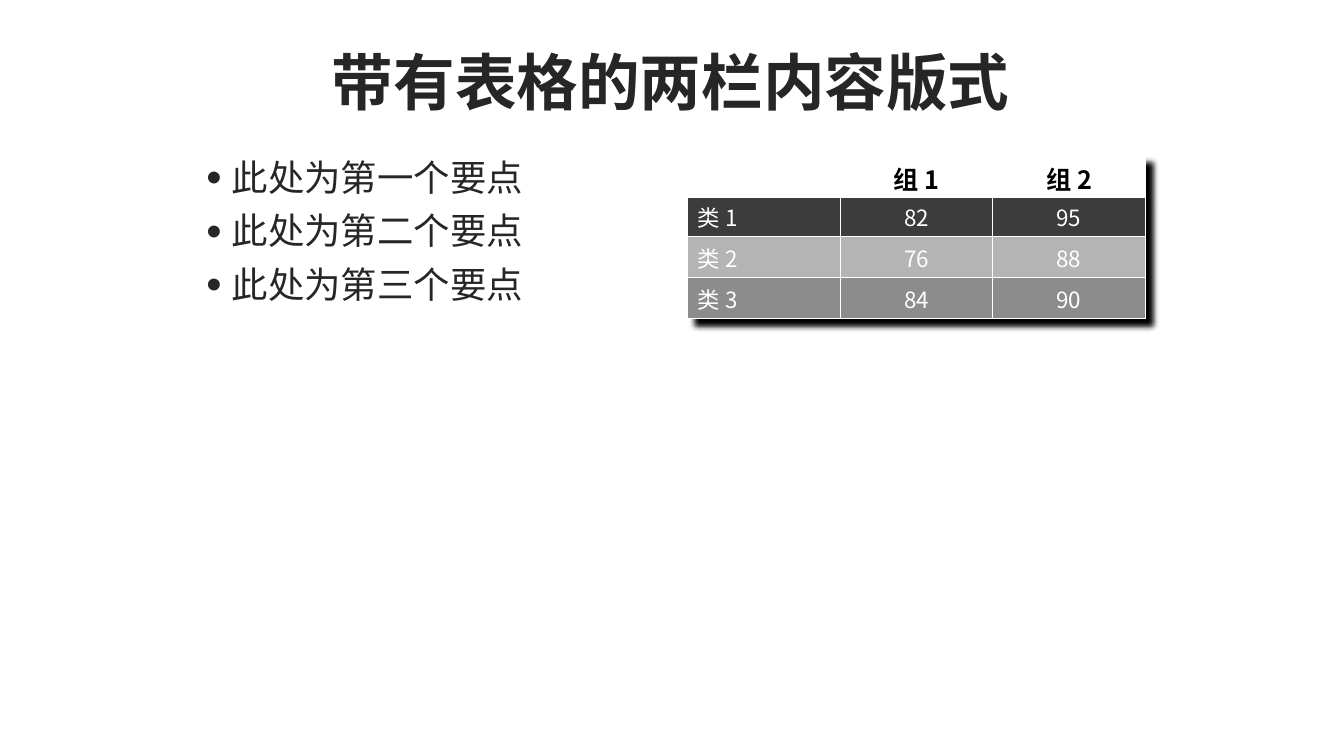
from lxml import etree
from pptx import Presentation
from pptx.dml.color import RGBColor
from pptx.enum.text import MSO_ANCHOR, PP_ALIGN
from pptx.oxml import parse_xml
from pptx.oxml.ns import nsdecls, qn
from pptx.util import Inches, Pt

FONT = "Noto Sans CJK SC"
DARK = RGBColor(0x26, 0x26, 0x26)
BLACK = RGBColor(0x00, 0x00, 0x00)
WHITE = RGBColor(0xFF, 0xFF, 0xFF)
ROW_FILLS = [
    WHITE,
    RGBColor(0x3C, 0x3C, 0x3C),
    RGBColor(0xB4, 0xB4, 0xB4),
    RGBColor(0x8C, 0x8C, 0x8C),
]
CENTER = PP_ALIGN.CENTER
LEFT = PP_ALIGN.LEFT
MIDDLE = MSO_ANCHOR.MIDDLE

TITLE = "带有表格的两栏内容版式"
POINTS = ["此处为第一个要点", "此处为第二个要点", "此处为第三个要点"]
TABLE_ROWS = [
    ["", "组 1", "组 2"],
    ["类 1", "82", "95"],
    ["类 2", "76", "88"],
    ["类 3", "84", "90"],
]


def style_paragraph(paragraph, size, color, bold=False, alignment=LEFT):
    """Align a paragraph and format its runs."""
    paragraph.alignment = alignment
    for run in paragraph.runs:
        run.font.size = Pt(size)
        run.font.name = FONT
        run.font.bold = bold
        run.font.color.rgb = color
        properties = run.font._element
        etree.SubElement(properties, qn("a:ea"), typeface=FONT)


def add_text(slide, box, text):
    """Add a wrapping text box and return its text frame."""
    text_frame = slide.shapes.add_textbox(*map(Inches, box)).text_frame
    text_frame.word_wrap = True
    text_frame.text = text
    return text_frame


def add_title(slide, box):
    """Place the centred slide title."""
    text_frame = add_text(slide, box, TITLE)
    text_frame.vertical_anchor = MIDDLE
    paragraph = text_frame.paragraphs[0]
    paragraph.line_spacing = 0.9
    style_paragraph(paragraph, 44, DARK, True, CENTER)


def add_points(slide, box):
    """Place the bulleted list."""
    text_frame = add_text(slide, box, "\n".join(POINTS))
    for paragraph in text_frame.paragraphs:
        paragraph.line_spacing = 0.9
        paragraph.space_before = Pt(10)
        style_paragraph(paragraph, 26, DARK)
        properties = paragraph._p.get_or_add_pPr()
        properties.set("marL", str(Inches(0.25)))
        properties.set("indent", str(Inches(-0.25)))
        etree.SubElement(properties, qn("a:buSzPct"), val="120000")
        etree.SubElement(properties, qn("a:buFont"), typeface="Arial")
        etree.SubElement(properties, qn("a:buChar"), char="•")


def add_borders(cell, bottom_width):
    """Give a cell white borders."""
    properties = cell._tc.get_or_add_tcPr()
    for side, width in (("L", 1), ("R", 1), ("T", 1), ("B", bottom_width)):
        properties.append(parse_xml(
            f'<a:ln{side} {nsdecls("a")} w="{Pt(width)}"><a:solidFill>'
            f'<a:srgbClr val="{WHITE}"/></a:solidFill></a:ln{side}>'
        ))


def add_shadow(table):
    """Cast a shadow down and to the right of a table."""
    table._tbl.tblPr.insert(0, parse_xml(
        f'<a:effectLst {nsdecls("a")}><a:outerShdw blurRad="{Inches(0.06)}" '
        f'dist="{Inches(0.1)}" dir="2700000" algn="tl" rotWithShape="0">'
        f'<a:srgbClr val="{BLACK}"/></a:outerShdw></a:effectLst>'
    ))


def add_score_table(slide, box):
    """Place the table of classes by group."""
    column_count = len(TABLE_ROWS[0])
    frame = slide.shapes.add_table(
        len(TABLE_ROWS), column_count, *map(Inches, box))
    table = frame.table
    add_shadow(table)
    for row, values in enumerate(TABLE_ROWS):
        header = row == 0
        for column, value in enumerate(values):
            cell = table.cell(row, column)
            add_borders(cell, 3 if header else 1)
            cell.fill.solid()
            cell.fill.fore_color.rgb = ROW_FILLS[row]
            cell.vertical_anchor = MIDDLE
            cell.text_frame.text = value
            style_paragraph(
                cell.text_frame.paragraphs[0],
                18 if header else 16,
                BLACK if header else WHITE,
                header,
                CENTER if column else LEFT,
            )


def main():
    """Build and save the slide."""
    presentation = Presentation()
    presentation.slide_width = Inches(13.33)
    presentation.slide_height = Inches(7.5)
    slide = presentation.slides.add_slide(presentation.slide_layouts[6])
    add_title(slide, (1.95, 0.41, 9.41, 0.87))
    add_points(slide, (1.95, 1.54, 4.54, 5.46))
    add_score_table(slide, (6.82, 1.54, 4.54, 1.62))
    presentation.save("out.pptx")


if __name__ == "__main__":
    main()
